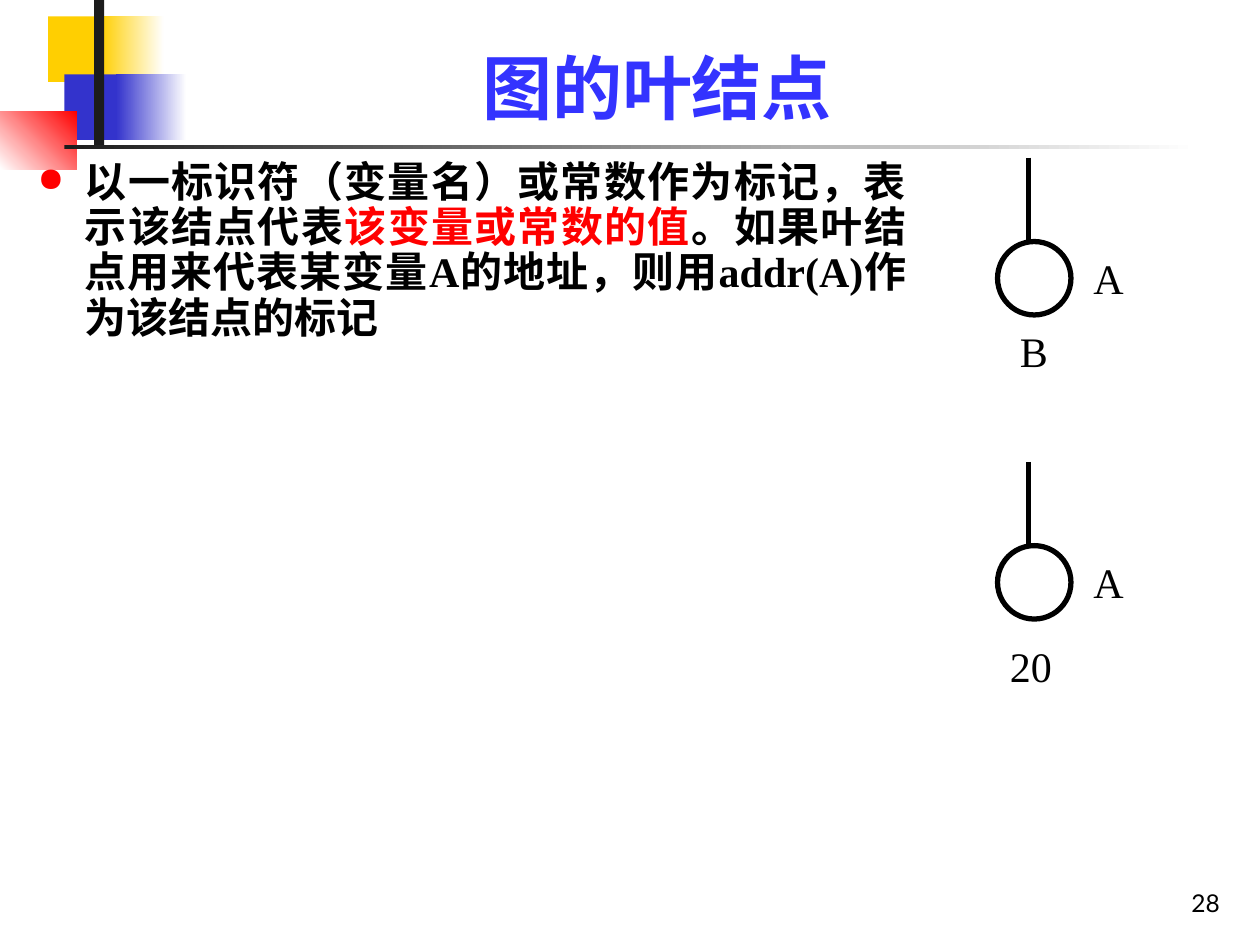
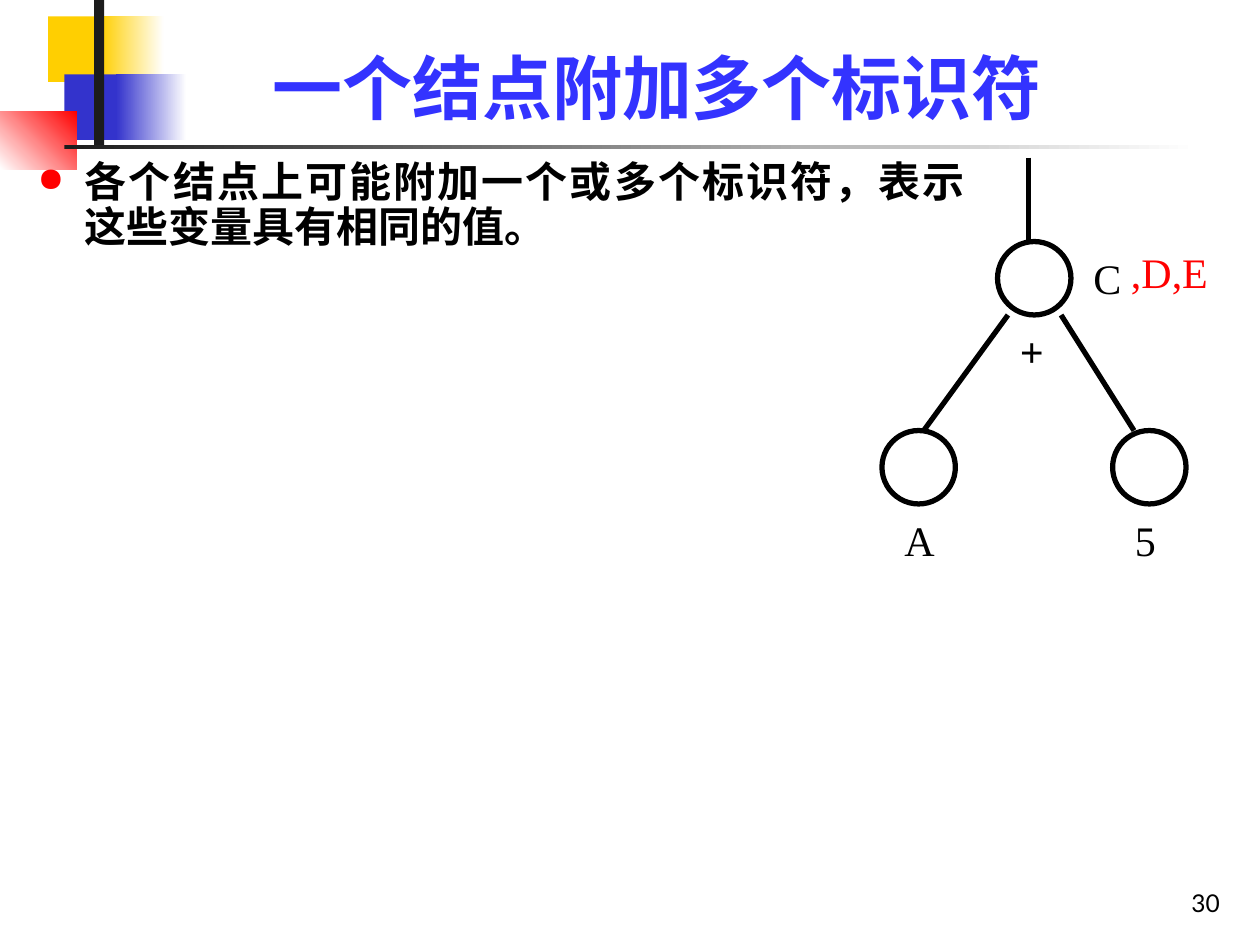
from lxml.etree import SubElement
from pptx import Presentation
from pptx.dml.color import RGBColor
from pptx.enum.shapes import MSO_CONNECTOR as Line, MSO_SHAPE as Shape
from pptx.enum.text import MSO_ANCHOR as Anchor, PP_ALIGN as Align
from pptx.oxml.ns import qn
from pptx.util import Cm, Pt

COLOURS = {
    "ink": "000000", "paper": "FFFFFF", "title": "3333FF", "accent": "FF0000",
    "yellow": "FFCF01", "blue": "3333CC", "bar": "1C1C1C",
}
SERIF, SANS = "Times New Roman", "Lato"

# Node geometry in centimetres
NODE = 1.48
STEM = 1.69
STEM_SHIFT = 0.63
SIDE_SHIFT = 1.68

# Corner decoration: left, top, width, height, colours, angle
BANDS = [
    (0.97, 0.33, 1.7, 1.32, ["yellow"], 0),
    (2.03, 0.33, 1.27, 1.32, ["yellow", "paper"], 0),
    (1.3, 1.5, 1.63, 1.32, ["blue"], 0),
    (2.34, 1.5, 1.42, 1.32, ["blue", "paper"], 0),
    (0, 2.24, 1.55, 1.17, ["paper", "accent"], 45),
    (1.9, 0, 0.2, 2.92, ["bar"], 0),
    (1.3, 2.92, 22.86, 0.08, ["bar", "paper"], 0),
]


def colour(name):
    return RGBColor.from_string(COLOURS[name])


class Painter:
    def __init__(self):
        self.deck = Presentation()
        self.deck.slide_width, self.deck.slide_height = Cm(25.4), Cm(19.05)
        self.page = None

    def new_page(self, title, number):
        self.page = self.deck.slides.add_slide(self.deck.slide_layouts[6])
        for *place, names, angle in BANDS:
            self.band(place, names, angle)
        self.text((19.56, 17.35, 5.28, 1.27), [(number, "ink")], 14,
                  font=SANS, align=Align.RIGHT, anchor=Anchor.BOTTOM)
        self.text((3.2, 0.58, 20.09, 2.13), [(title, "title")], 40,
                  bold=True, align=Align.CENTER, anchor=Anchor.BOTTOM)

    def shape(self, kind, place):
        shape = self.page.shapes.add_shape(kind, *map(Cm, place))
        shape.shadow.inherit = False
        return shape

    def band(self, place, names, angle):
        band = self.shape(Shape.RECTANGLE, place)
        band.line.fill.background()
        if len(names) == 1:
            band.fill.solid()
            band.fill.fore_color.rgb = colour(names[0])
            return
        band.fill.gradient()
        band.fill.gradient_angle = angle
        for stop, name in zip(band.fill.gradient_stops, names):
            stop.color.rgb = colour(name)

    def text(self, place, spans, size=24, font=SERIF, bold=False,
             align=Align.LEFT, anchor=Anchor.TOP):
        box = self.page.shapes.add_textbox(*map(Cm, place))
        frame = box.text_frame
        frame.word_wrap = True
        frame.vertical_anchor = anchor
        para = frame.paragraphs[0]
        para.alignment = align
        for words, name in spans:
            span = para.add_run()
            span.text = words
            span.font.name, span.font.size = font, Pt(size)
            span.font.bold = bold
            span.font.color.rgb = colour(name)
        return frame

    def bullet(self, width, spans):
        frame = self.text((0.51, 3.12, width, 14.81), spans, bold=True,
                          align=Align.JUSTIFY)
        para = frame.paragraphs[0]
        props = para._p.get_or_add_pPr()
        props.set("marL", str(Cm(0.95)))
        props.set("indent", str(-Cm(0.95)))
        tint = SubElement(props, qn("a:buClr"))
        SubElement(tint, qn("a:srgbClr"), val=COLOURS["accent"])
        SubElement(props, qn("a:buSzPct"), val="80000")
        SubElement(props, qn("a:buChar"), char="●")
        para.line_spacing = 0.9

    def label(self, left, top, words, width=1.27, name="ink", bold=False):
        frame = self.text((left, top, width, 1.27), [(words, name)], bold=bold)
        frame.margin_top = Cm(0.22)
        return frame

    def line(self, start, end):
        line = self.page.shapes.add_connector(
            Line.STRAIGHT, *map(Cm, (*start, *end)))
        line.line.color.rgb = colour("ink")
        line.line.width = Pt(3)
        SubElement(line._element.spPr, qn("a:effectLst"))

    def node(self, left, top, below, shift=(0.2, 0), width=1.27, bold=False):
        circle = self.shape(Shape.OVAL, (left, top, NODE, NODE))
        circle.fill.solid()
        circle.fill.fore_color.rgb = colour("paper")
        circle.line.color.rgb = colour("ink")
        circle.line.width = Pt(3)
        self.label(left + shift[0], top + NODE + shift[1], below, width,
                   bold=bold)

    def root(self, left, top, side, below, **options):
        self.node(left, top, below, **options)
        self.label(left + SIDE_SHIFT, top, side)
        stem = left + STEM_SHIFT
        self.line((stem, top - STEM), (stem, top))


def main():
    painter = Painter()
    root_left, root_top = 20.11, 4.87

    # Leaf nodes
    painter.new_page("图的叶结点", "28")
    painter.bullet(18.01, [
        ("以一标识符（变量名）或常数作为标记，表示该结点代表", "ink"),
        ("该变量或常数的值", "accent"),
        ("。如果叶结点用来代表某变量A的地址，则用addr(A)作为该结点的标记", "ink"),
    ])
    painter.root(root_left, root_top, "A", "B")
    painter.root(root_left, 11, "A", "20", shift=(0, 0.22), width=1.7)

    # Node with several identifiers
    painter.new_page("一个结点附加多个标识符", "30")
    painter.bullet(19.2, [
        ("各个结点上可能附加一个或多个标识符，表示这些变量具有相同的值。", "ink"),
    ])
    painter.root(root_left, root_top, "C", "+", bold=True)
    child_top = 8.68
    for left, below, start, end in [(17.78, "A", 20.32, 18.62),
                                    (22.43, "5", 21.39, 22.86)]:
        painter.node(left, child_top, below)
        painter.line((start, root_top + NODE), (end, child_top))
    painter.label(22.55, 4.75, ",D,E", 2.18, "accent")

    painter.deck.save("out.pptx")


if __name__ == "__main__":
    main()
